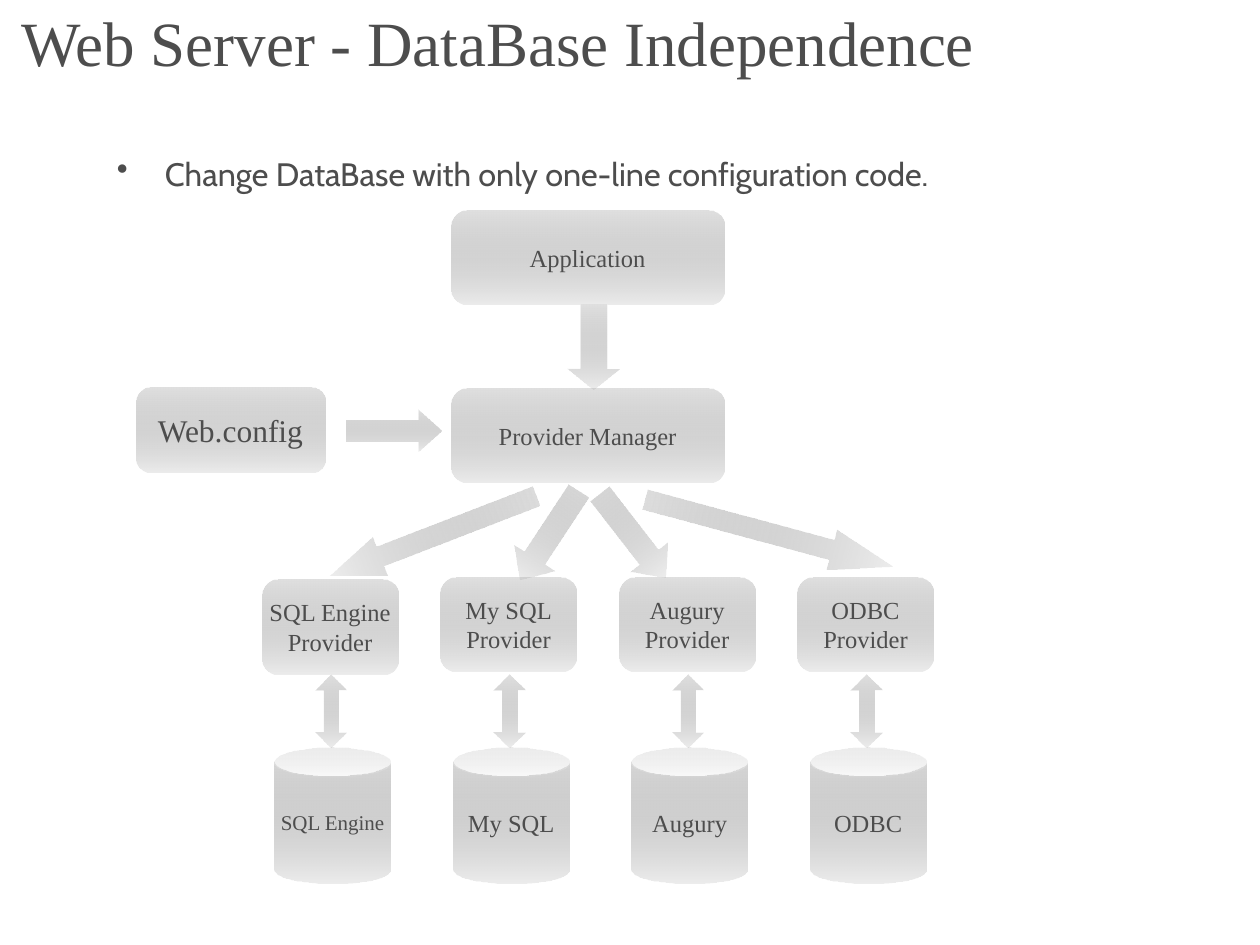
import pptx
import pptx.util
import pptx.dml.color
import pptx.enum.shapes
import pptx.enum.text
from lxml import etree
from pptx.oxml.ns import qn

Inches = pptx.util.Inches
Kind = pptx.enum.shapes.MSO_SHAPE
Anchor = pptx.enum.text.MSO_ANCHOR
Align = pptx.enum.text.PP_ALIGN

THEME = {
    "ink": "4D4D4D", "light": "DFDFDF", "dark": "888888", "fade": 15,
    "serif": "Times New Roman", "sans": "Cabin",
    "title": 36, "body": 18.5, "large": 18, "label": 14, "small": 12,
}


class Deck:
    """Holds the theme and the current slide."""

    def __init__(self, theme):
        self.theme = theme
        self.prs = pptx.Presentation()
        self.prs.slide_width, self.prs.slide_height = Inches(10), Inches(7.5)
        self.slide = self.prs.slides.add_slide(self.prs.slide_layouts[6])

    def color(self, name):
        return pptx.dml.color.RGBColor.from_string(self.theme[name])

    def label(self, shape, text, size, face="serif", align=Align.LEFT,
              bullet=False, **form):
        frame = shape.text_frame
        for key, value in form.items():
            setattr(frame, key, value)
        frame.text = text
        for para in frame.paragraphs:
            para.alignment = align
            if bullet:
                self.bullet(para)
            font = para.font
            font.color.rgb = self.color("ink")
            look = {"name": self.theme[face],
                    "size": pptx.util.Pt(self.theme[size])}
            for key, value in look.items():
                setattr(font, key, value)

    def bullet(self, para):
        props = para._p.get_or_add_pPr()
        props.set("marL", str(Inches(0.38)))
        props.set("indent", str(-Inches(0.38)))
        etree.SubElement(props, qn("a:buChar")).set("char", "•")

    def text(self, box, text, size, **form):
        shape = self.slide.shapes.add_textbox(*map(Inches, box))
        self.label(shape, text, size, word_wrap=True, **form)

    def shape(self, kind, box, adjust, turn=0):
        shape = self.slide.shapes.add_shape(kind, *map(Inches, box))
        shape.rotation = turn
        shape.shadow.inherit = False
        shape.line.fill.background()
        for i, value in enumerate(adjust):
            shape.adjustments[i] = value
        # Gradient from top to bottom, fading out at the end
        fill = shape.fill
        fill.gradient()
        fill.gradient_angle = 270
        for stop, name, place in zip(fill.gradient_stops,
                                     ("light", "dark"), (0, 1)):
            stop.color.rgb = self.color(name)
            stop.position = place
        last = shape._element.spPr.findall(".//" + qn("a:srgbClr"))[-1]
        alpha = etree.SubElement(last, qn("a:alpha"))
        alpha.set("val", str(self.theme["fade"] * 1000))
        return shape

    def node(self, kind, box, adjust, text, size="label"):
        self.label(self.shape(kind, box, [adjust]), text, size,
                   align=Align.CENTER, word_wrap=False,
                   vertical_anchor=Anchor.MIDDLE)

    def card(self, box, text, size="label"):
        self.node(Kind.ROUNDED_RECTANGLE, box, 0.167, text, size)

    def can(self, box, text, size="label"):
        self.node(Kind.CAN, box, 0.25, text, size)

    def arrow(self, kind, box, head, turn=0):
        self.shape(kind, box, [0.5, head], turn)


def main():
    deck = Deck(THEME)

    # Title and lead point
    deck.text((0.07, 0.04, 9.5, 0.58), "Web Server - DataBase Independence",
              "title", vertical_anchor=Anchor.MIDDLE)
    deck.text((0.83, 1.17, 7.58, 0.59),
              "Change DataBase with only one-line configuration code.",
              "body", face="sans", bullet=True)

    # One column per provider and its database
    stores = [("SQL Engine", 4.6, "small"), ("My SQL", 4.58, "label"),
              ("Augury", 4.58, "label"), ("ODBC", 4.58, "label")]
    for i, (name, top, size) in enumerate(stores):
        left = 2.08 + i * 17 / 12
        deck.can((left + 0.1, 5.93, 0.92, 1.08), name, size)
        deck.card((left, top, 1.08, 0.75), name + "\nProvider")
        deck.arrow(Kind.UP_DOWN_ARROW, (left + 0.42, 5.35, 0.25, 0.58), 0.465)

    # Application, manager and settings
    deck.card((3.58, 1.67, 2.17, 0.75), "Application")
    deck.card((3.58, 3.08, 2.17, 0.75), "Provider Manager")
    deck.card((1.08, 3.08, 1.5, 0.67), "Web.config", "large")
    deck.arrow(Kind.RIGHT_ARROW, (2.75, 3.25, 0.75, 0.33), 0.562)

    # Arrows down to the manager and out to the providers
    for box, head, turn in [
        ((4.5, 2.42, 0.42, 0.67), 0.4, 0),
        ((3.27, 3.38, 0.33, 1.75), 1.31, 69),
        ((5.94, 3.21, 0.33, 2.03), 1.525, 285),
        ((4.17, 3.83, 0.38, 0.84), 0.554, 33),
        ((4.83, 3.83, 0.38, 0.84), 0.554, 322),
    ]:
        deck.arrow(Kind.DOWN_ARROW, box, head, turn)

    deck.prs.save("out.pptx")


if __name__ == "__main__":
    main()
